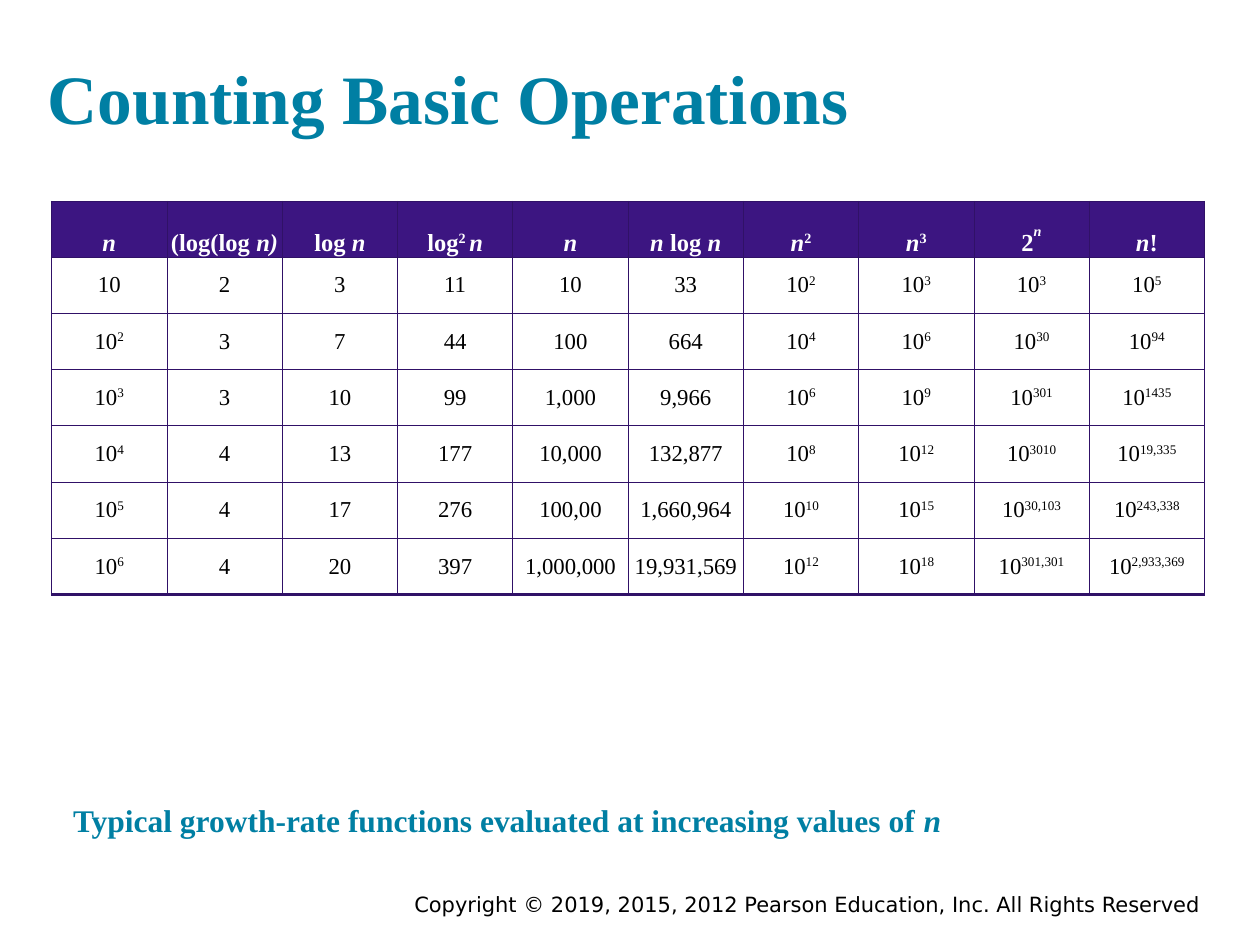
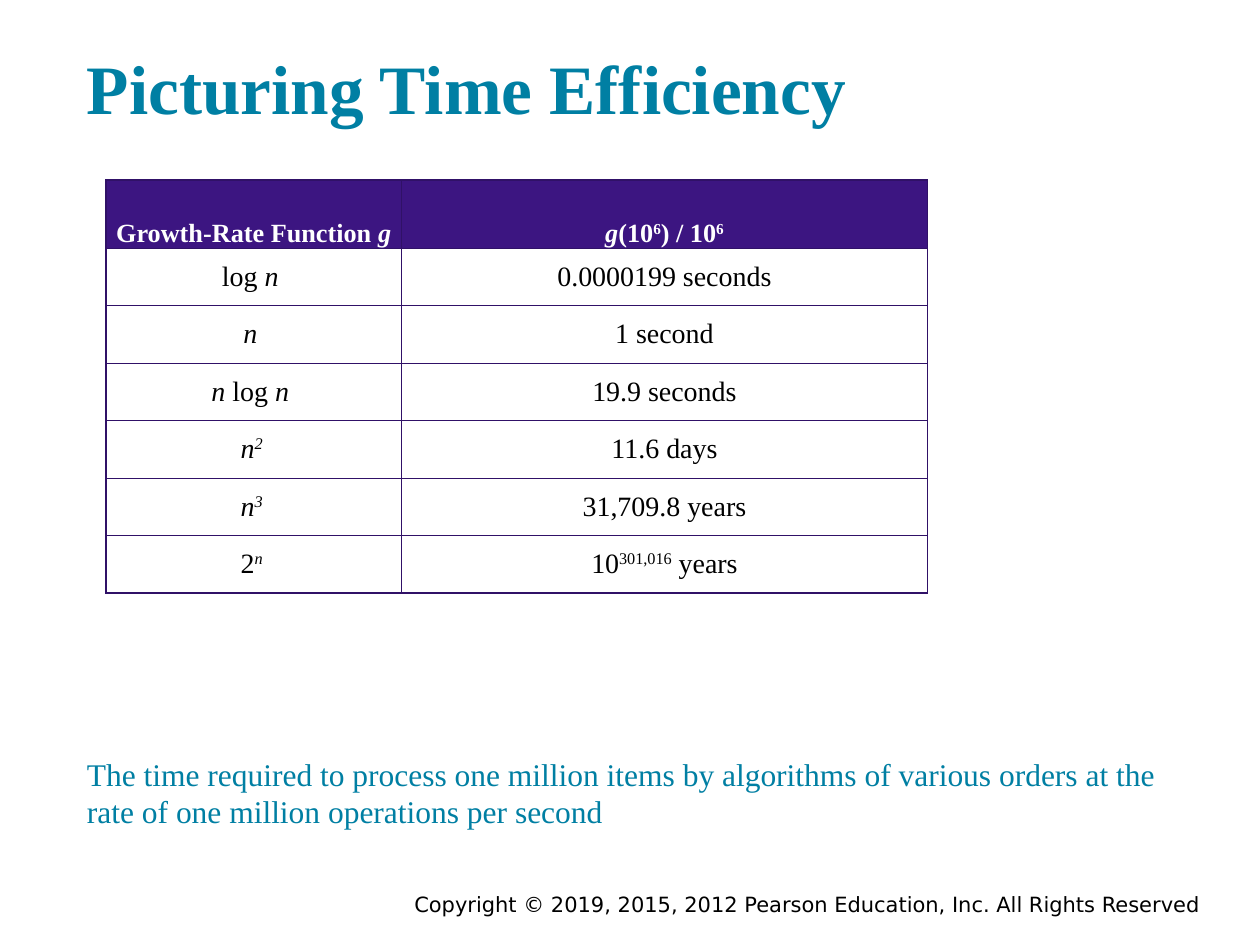
"""Build two slides of growth-rate tables with captions."""
import dataclasses

import lxml.etree
import pptx
import pptx.dml.color
import pptx.enum.text
import pptx.oxml.ns
import pptx.util

Inches = pptx.util.Inches
Pt = pptx.util.Pt
ALIGN = pptx.enum.text.PP_ALIGN
ANCHOR = pptx.enum.text.MSO_ANCHOR


@dataclasses.dataclass(frozen=True)
class Theme:
    """Colours, fonts and type sizes that the slides share."""
    teal: str = "007FA3"
    head: str = "3C1581"
    edge: str = "301167"
    ink: str = "000000"
    white: str = "FFFFFF"
    serif: str = "Times New Roman"
    sans: str = "DejaVu Sans"
    title: float = 39.6
    lead: float = 18
    foot: float = 12
    thin: float = 0.5
    thick: float = 1


THEME = Theme()
FOOTER = "Copyright © 2019, 2015, 2012 Pearson Education, Inc. All Rights Reserved"
RAISE = {"^": 32000, "~": 61000}

COUNTS = [
    ["_n_", "(log(log _n)_", "log _n_", "log^2 ^_n_", "_n_", "_n _log _n_", "_n_^2^", "_n_^3^", "2_~n~_", "_n_!"],
    ["10", "2", "3", "11", "10", "33", "10^2^", "10^3^", "10^3^", "10^5^"],
    ["10^2^", "3", "7", "44", "100", "664", "10^4^", "10^6^", "10^30^", "10^94^"],
    ["10^3^", "3", "10", "99", "1,000", "9,966", "10^6^", "10^9^", "10^301^", "10^1435^"],
    ["10^4^", "4", "13", "177", "10,000", "132,877", "10^8^", "10^12^", "10^3010^", "10^19,335^"],
    ["10^5^", "4", "17", "276", "100,00", "1,660,964", "10^10^", "10^15^", "10^30,103^", "10^243,338^"],
    ["10^6^", "4", "20", "397", "1,000,000", "19,931,569", "10^12^", "10^18^", "10^301,301^", "10^2,933,369^"],
]
TIMES = [
    ["Growth-Rate Function _g_", "_g_(10^6^) / 10^6^"],
    ["log _n _", "0.0000199 seconds"],
    ["_n _", "1 second"],
    ["_n_ log _n _", "19.9 seconds"],
    ["_n^2 ^_", "11.6 days"],
    ["_n^3 ^_", "31,709.8 years"],
    ["2_^n ^_", "10^301,016^ years"],
]
SLIDES = [
    dict(title="Counting Basic Operations", title_at=(0.28, 0.28, 9.22, 0.92),
         lead="Typical growth-rate functions evaluated at increasing values of _n_",
         lead_at=(0.48, 6.12, 9, 0.64), bold=True,
         rows=COUNTS, at=(0.41, 1.6, 9.15, 3.12), cols=[0.1] * 10,
         top=0.44, sizes=(14, 13), base=2),
    dict(title="Picturing Time Efficiency", title_at=(0.59, 0.2, 8.9, 0.92),
         lead="The time required to process one million items by algorithms of various "
              "orders at the rate of one million operations per second",
         lead_at=(0.59, 5.88, 9, 0.81), bold=False,
         rows=TIMES, at=(0.84, 1.43, 6.52, 3.28), cols=[0.36, 0.64],
         top=0.54, sizes=(15, 16), base=1),
]


def paint(code):
    """Turn a hex code into a colour."""
    return pptx.dml.color.RGBColor.from_string(code)


def split(text):
    """Yield (part, italic, raise) from text marked with _, ^ and ~."""
    part, slant, lift = "", False, 0
    for char in text:
        if char != "_" and char not in RAISE:
            part += char
            continue
        if part:
            yield part, slant, lift
        part = ""
        if char == "_":
            slant = not slant
        else:
            lift = 0 if lift else RAISE[char]
    if part:
        yield part, slant, lift


def write(frame, text, size, color, font=THEME.serif, bold=False, align=ALIGN.LEFT):
    """Write marked text as one plain paragraph."""
    para = frame.paragraphs[0]
    props = para._p.get_or_add_pPr()
    props.set("marL", "0")
    props.set("indent", "0")
    lxml.etree.SubElement(props, pptx.oxml.ns.qn("a:buNone"))
    para.alignment = align
    para.space_before = Pt(0)
    for part, slant, lift in split(text):
        run = para.add_run()
        run.text = part
        run.font.name, run.font.size = font, Pt(size)
        run.font.bold, run.font.italic = bold, slant
        run.font.color.rgb = paint(color)
        if lift:
            run._r.get_or_add_rPr().set("baseline", str(lift))


def place(shape, at, inset=0.1, anchor=ANCHOR.BOTTOM):
    """Move a text shape and return its prepared frame."""
    shape.left, shape.top, shape.width, shape.height = map(Inches, at)
    frame = shape.text_frame
    frame.word_wrap = True
    frame.auto_size = pptx.enum.text.MSO_AUTO_SIZE.NONE
    frame.vertical_anchor = anchor
    frame.margin_left = frame.margin_right = Inches(inset)
    frame.margin_top = frame.margin_bottom = Inches(inset)
    return frame


def rule(cell, widths):
    """Draw cell borders, given as left, right, top and bottom widths."""
    props = cell._tc.get_or_add_tcPr()
    for side, width in zip("LRTB", widths):
        line = lxml.etree.SubElement(props, pptx.oxml.ns.qn("a:ln" + side), w=str(Pt(width)))
        fill = lxml.etree.SubElement(line, pptx.oxml.ns.qn("a:solidFill"))
        lxml.etree.SubElement(fill, pptx.oxml.ns.qn("a:srgbClr"), val=THEME.edge)


def grid(slide, rows, at, cols, top, sizes, base):
    """Add a table with a dark head row and equal body rows."""
    last, end = len(rows) - 1, len(cols) - 1
    table = slide.shapes.add_table(len(rows), len(cols), *map(Inches, at)).table
    table.first_row = table.horz_banding = False
    for col, share in zip(table.columns, cols):
        col.width = Inches(at[2] * share)
    for i, row in enumerate(rows):
        table.rows[i].height = Inches(top if i == 0 else (at[3] - top) / last)
        for j, text in enumerate(row):
            cell = table.cell(i, j)
            cell.margin_left = cell.margin_right = cell.margin_top = cell.margin_bottom = 0
            rule(cell, (THEME.thick if j == 0 else THEME.thin,
                        THEME.thick if j == end else THEME.thin,
                        THEME.thick if i == 0 else THEME.thin,
                        base if i == last else THEME.thin))
            if i == 0:
                cell.fill.solid()
                cell.fill.fore_color.rgb = paint(THEME.head)
            else:
                cell.fill.background()
            cell.vertical_anchor = ANCHOR.MIDDLE if i else ANCHOR.BOTTOM
            write(cell.text_frame, text, size=sizes[min(i, 1)], bold=i == 0,
                  color=THEME.ink if i else THEME.white, align=ALIGN.CENTER)


def build(deck, title, title_at, lead, lead_at, bold, **table):
    """Add one slide with title, caption, table and footer."""
    slide = deck.slides.add_slide(deck.slide_layouts[1])
    write(place(slide.shapes.title, title_at), title,
          size=THEME.title, color=THEME.teal, bold=True)
    write(place(slide.placeholders[1], lead_at), lead,
          size=THEME.lead, color=THEME.teal, bold=bold)
    grid(slide, **table)
    foot = slide.shapes.add_textbox(0, 0, 0, 0)
    write(place(foot, (1.75, 7.03, 7.83, 0.31), inset=0.05, anchor=ANCHOR.TOP), FOOTER,
          size=THEME.foot, color=THEME.ink, font=THEME.sans, align=ALIGN.RIGHT)


def main():
    """Build and save the deck."""
    deck = pptx.Presentation()
    deck.slide_width, deck.slide_height = Inches(10), Inches(7.5)
    for item in SLIDES:
        build(deck, **item)
    deck.save("out.pptx")


if __name__ == "__main__":
    main()
